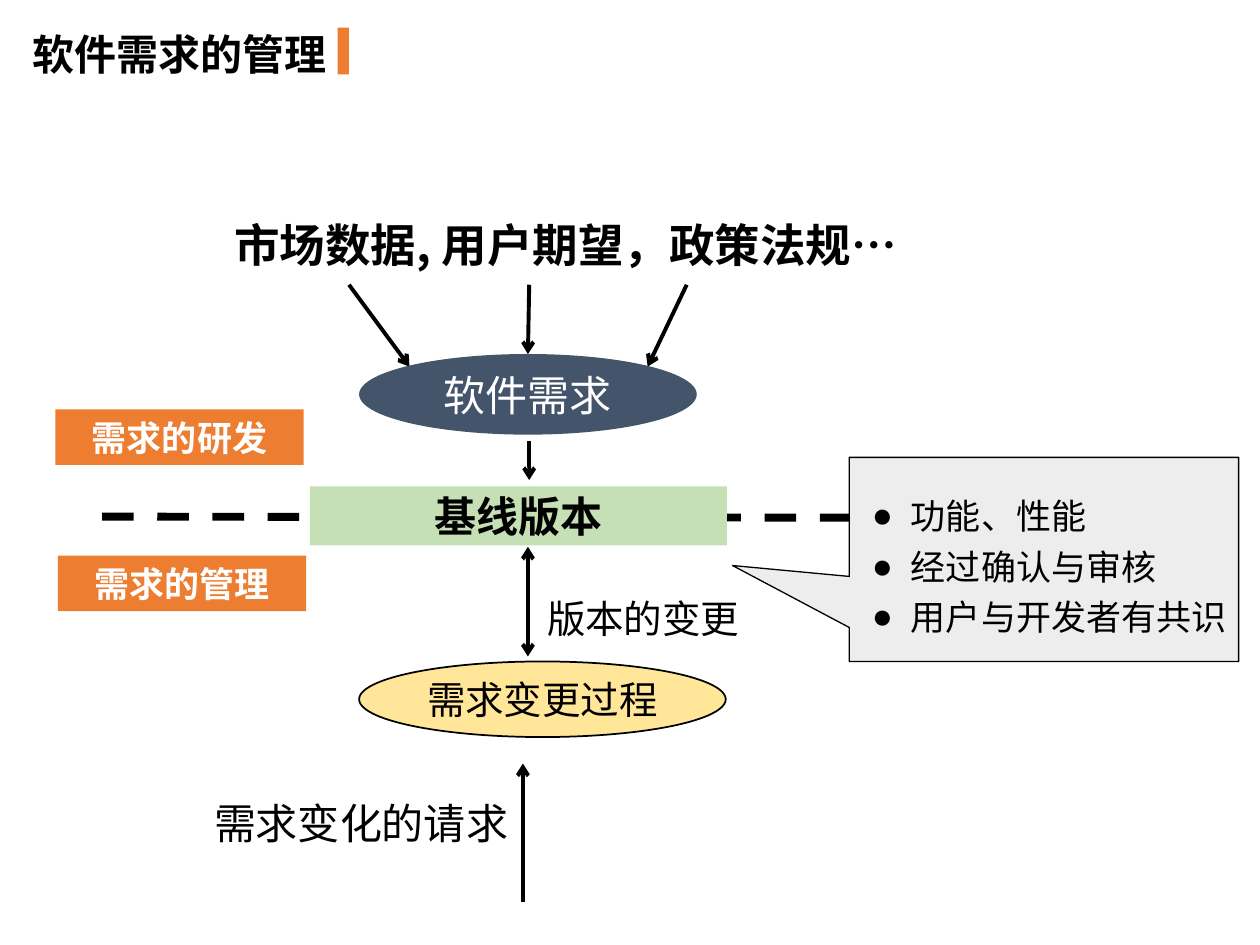
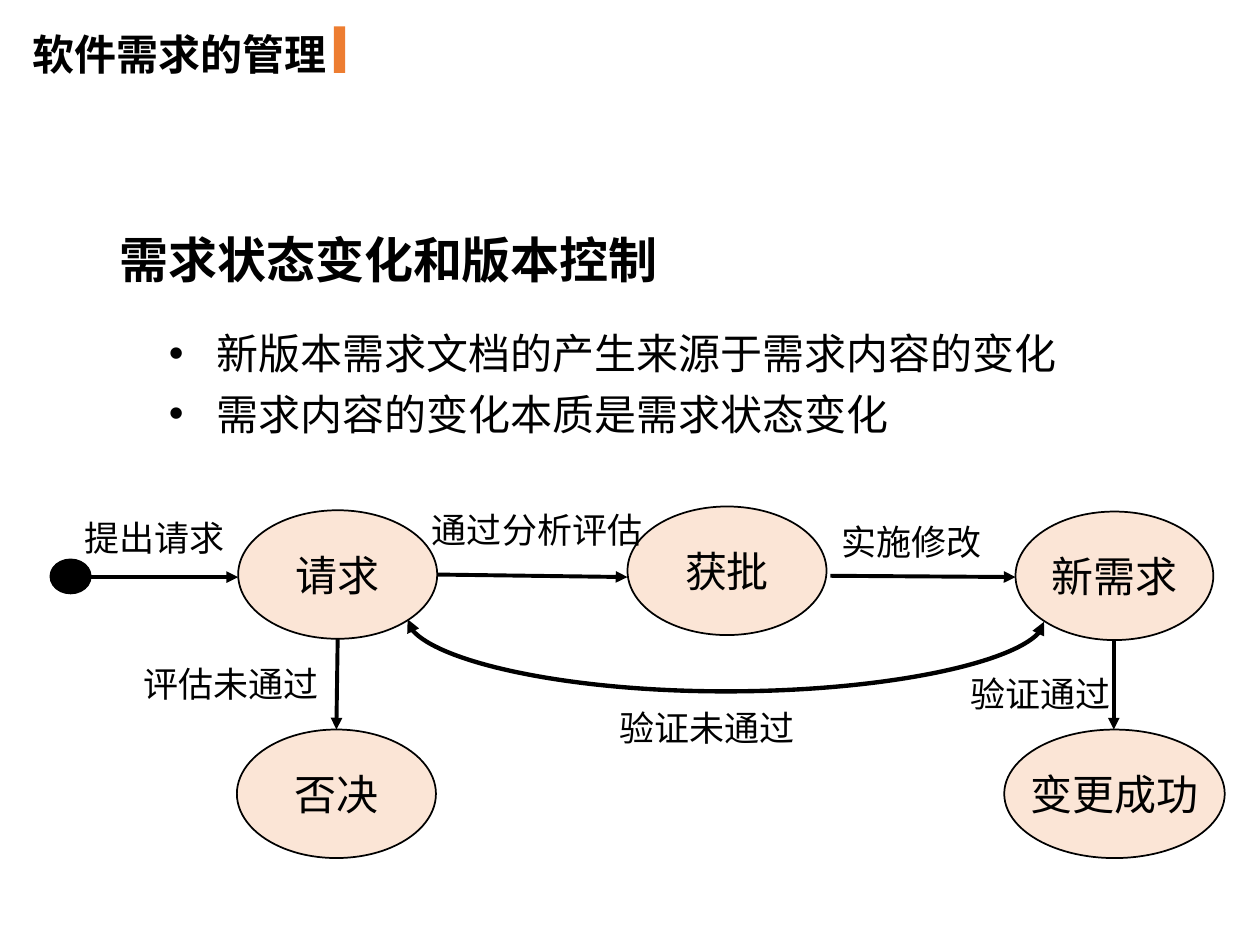
from lxml import etree
from pptx import Presentation
from pptx.dml.color import RGBColor
from pptx.enum import dml, shapes, text
from pptx.oxml.ns import qn
from pptx.util import Emu, Pt

PX = 9144  # 100 px to the inch
FONT = "Noto Sans CJK SC"
BLACK = RGBColor(0x00, 0x00, 0x00)
WHITE = RGBColor(0xFF, 0xFF, 0xFF)
ORANGE = RGBColor(0xED, 0x7D, 0x31)
NAVY = RGBColor(0x44, 0x54, 0x6A)
GREEN = RGBColor(0xC5, 0xE0, 0xB4)
YELLOW = RGBColor(0xFF, 0xE6, 0x99)
GREY = RGBColor(0xED, 0xED, 0xED)
PEACH = RGBColor(0xFB, 0xE5, 0xD6)

RECT = shapes.MSO_SHAPE.RECTANGLE
OVAL = shapes.MSO_SHAPE.OVAL
CALLOUT = shapes.MSO_SHAPE.RECTANGULAR_CALLOUT
STRAIGHT = shapes.MSO_CONNECTOR.STRAIGHT
CURVE = shapes.MSO_CONNECTOR.CURVE
LEFT, CENTER, JUSTIFY = text.PP_ALIGN.LEFT, text.PP_ALIGN.CENTER, text.PP_ALIGN.JUSTIFY
TOP, MIDDLE = text.MSO_ANCHOR.TOP, text.MSO_ANCHOR.MIDDLE


def write(shape, lines, size, color=BLACK, bold=False, align=LEFT, anchor=TOP,
          wrap=True, bullet=None, indent=0):
    """Fill a shape with one paragraph per line, bulleted if a bullet is given."""
    frame = shape.text_frame
    frame.auto_size = text.MSO_AUTO_SIZE.NONE
    frame.word_wrap = wrap
    frame.vertical_anchor = anchor
    for number, line in enumerate(lines):
        paragraph = frame.paragraphs[0] if number == 0 else frame.add_paragraph()
        paragraph.alignment = align
        paragraph.space_before = Pt(0)
        if bullet:
            paragraph.line_spacing = 1.2
            props = paragraph._p.get_or_add_pPr()
            props.set("marL", str(indent * PX))
            props.set("indent", str(-indent * PX))
            etree.SubElement(props, qn("a:buFont"), typeface="Arial")
            etree.SubElement(props, qn("a:buChar"), char=bullet)
        run = paragraph.add_run()
        run.text = line
        run.font.size = Pt(size)
        run.font.bold = bold
        run.font.color.rgb = color
        run.font.name = FONT
        etree.SubElement(run._r.get_or_add_rPr(), qn("a:ea"), typeface=FONT)


def connect(slide, ends, kind=STRAIGHT, width=2.25, head=None, tail=None, dash=None):
    """Draw a black line; head sits at its start and tail at its end."""
    link = slide.shapes.add_connector(kind, *(Emu(v * PX) for v in ends))
    link.line.color.rgb = BLACK
    link.line.width = Pt(width)
    if dash:
        link.line.dash_style = dash
    props = link._element.spPr
    for tag, arrow in (("a:headEnd", head), ("a:tailEnd", tail)):
        if arrow:
            etree.SubElement(props.find(qn("a:ln")), qn(tag), type=arrow)
    etree.SubElement(props, qn("a:effectLst"))
    return link


deck = Presentation()
deck.slide_width, deck.slide_height = Emu(1000 * PX), Emu(750 * PX)
baseline_slide, states_slide = (
    deck.slides.add_slide(deck.slide_layouts[1]) for _ in range(2))

# Lines go under the blocks
for ends in ((277, 226, 325, 291), (420, 226, 419, 281), (545, 226, 514, 291),
             (420, 350, 420, 381), (415, 716, 415, 606)):
    connect(baseline_slide, ends, tail="arrow")
connect(baseline_slide, (419, 521, 419, 434), head="arrow", tail="arrow")
connect(baseline_slide, (81, 410, 758, 411), width=4.5, dash=dml.MSO_LINE.DASH)

for ends in ((72, 458, 189, 458), (347, 456, 498, 458), (659, 457, 806, 458),
             (268, 507, 267, 579), (884, 509, 884, 579)):
    connect(states_slide, ends, tail="triangle")

# Rejected changes: an upright curve turned by 270° so that it sags downwards
retry = connect(states_slide, (577, 240, 575, 745), CURVE, 2.5, "triangle", "triangle")
retry.rotation = 270 if hasattr(retry, "rotation") else None
retry_props = retry._element.spPr
retry_props.find(qn("a:xfrm")).set("rot", str(270 * 60000))
bend = retry_props.find(qn("a:prstGeom")).get_or_add_avLst()
etree.SubElement(bend, qn("a:gd"), name="adj1", fmla="val 2850000")

# Blocks: kind, box, fill, outline width, label, size, label colour, bold
baseline_blocks = [
    (RECT, (268, 22, 9, 37), ORANGE, 0, "", 24, BLACK, False),
    (OVAL, (285, 281, 268, 64), NAVY, 0, "软件需求", 24, WHITE, False),
    (RECT, (246, 386, 331, 47), GREEN, 0, "基线版本", 24, BLACK, True),
    (RECT, (44, 325, 197, 44), ORANGE, 0, "需求的研发", 20, WHITE, True),
    (RECT, (46, 441, 197, 44), ORANGE, 0, "需求的管理", 20, WHITE, True),
    (OVAL, (285, 525, 291, 60), YELLOW, 1, "需求变更过程", 22, BLACK, False),
    (CALLOUT, (674, 363, 309, 162), GREY, 0.75, "", 20, BLACK, False),
]
states = [
    ("请求", (189, 405, 158, 102)), ("获批", (498, 402, 158, 102)),
    ("新需求", (806, 406, 157, 102)), ("否决", (188, 579, 158, 102)),
    ("变更成功", (797, 579, 175, 102)),
]
states_blocks = [
    (RECT, (265, 21, 9, 37), ORANGE, 0, "", 24, BLACK, False),
    (OVAL, (40, 444, 32, 27), BLACK, 1, "", 24, BLACK, False),
] + [(OVAL, box, PEACH, 1, state, 24, BLACK, False) for state, box in states]

for slide, blocks in ((baseline_slide, baseline_blocks), (states_slide, states_blocks)):
    for kind, box, fill, outline, label, size, color, bold in blocks:
        block = slide.shapes.add_shape(kind, *(Emu(v * PX) for v in box))
        block.shadow.inherit = False
        block.fill.solid()
        block.fill.fore_color.rgb = fill
        if outline:
            block.line.color.rgb = BLACK
            block.line.width = Pt(outline)
        else:
            block.line.fill.background()
        if kind == CALLOUT:
            block.adjustments[0], block.adjustments[1] = -0.8, 0.03
        if label:
            write(block, [label], size, color, bold, CENTER, MIDDLE, wrap=False)

# Captions: box, wording, size, bold, alignment
baseline_captions = [
    ((176, 167, 592, 54), "市场数据, 用户期望，政策法规…", 26, True, LEFT),
    ((160, 628, 271, 50), "需求变化的请求", 24, False, LEFT),
    ((419, 467, 183, 47), "版本的变更", 22, False, CENTER),
]
states_captions = [
    ((85, 177, 500, 57), "需求状态变化和版本控制", 28, True, JUSTIFY),
    ((57, 405, 136, 44), "提出请求", 20, False, LEFT),
    ((333, 399, 197, 44), "通过分析评估", 20, False, LEFT),
    ((658, 408, 138, 44), "实施修改", 20, False, LEFT),
    ((104, 521, 170, 44), "评估未通过", 20, False, LEFT),
    ((482, 556, 189, 44), "验证未通过", 20, False, LEFT),
    ((760, 529, 138, 44), "验证通过", 20, False, LEFT),
]
for slide, captions in ((baseline_slide, baseline_captions),
                        (states_slide, states_captions)):
    for box, wording, size, bold, align in captions:
        caption = slide.shapes.add_textbox(*(Emu(v * PX) for v in box))
        write(caption, [wording], size, bold=bold, align=align)

# Title and list of each slide, brought in front of the blocks
baseline_points = ["功能、性能", "经过确认与审核", "用户与开发者有共识"]
states_points = ["新版本需求文档的产生来源于需求内容的变化", "需求内容的变化本质是需求状态变化"]
for slide, box, points, size, align, bullet, indent in (
        (baseline_slide, (682, 381, 306, 168), baseline_points, 20, LEFT, "●", 31),
        (states_slide, (124, 247, 740, 107), states_points, 24, JUSTIFY, "•", 38)):
    title, body = slide.shapes.title, slide.placeholders[1]
    for holder, place in ((title, (16, 18, 342, 50)), (body, box)):
        holder.left, holder.top, holder.width, holder.height = (
            Emu(v * PX) for v in place)
        slide.shapes._spTree.append(holder._element)
    write(title, ["软件需求的管理"], 24, bold=True)
    write(body, points, size, align=align, bullet=bullet, indent=indent)

deck.save("out.pptx")
